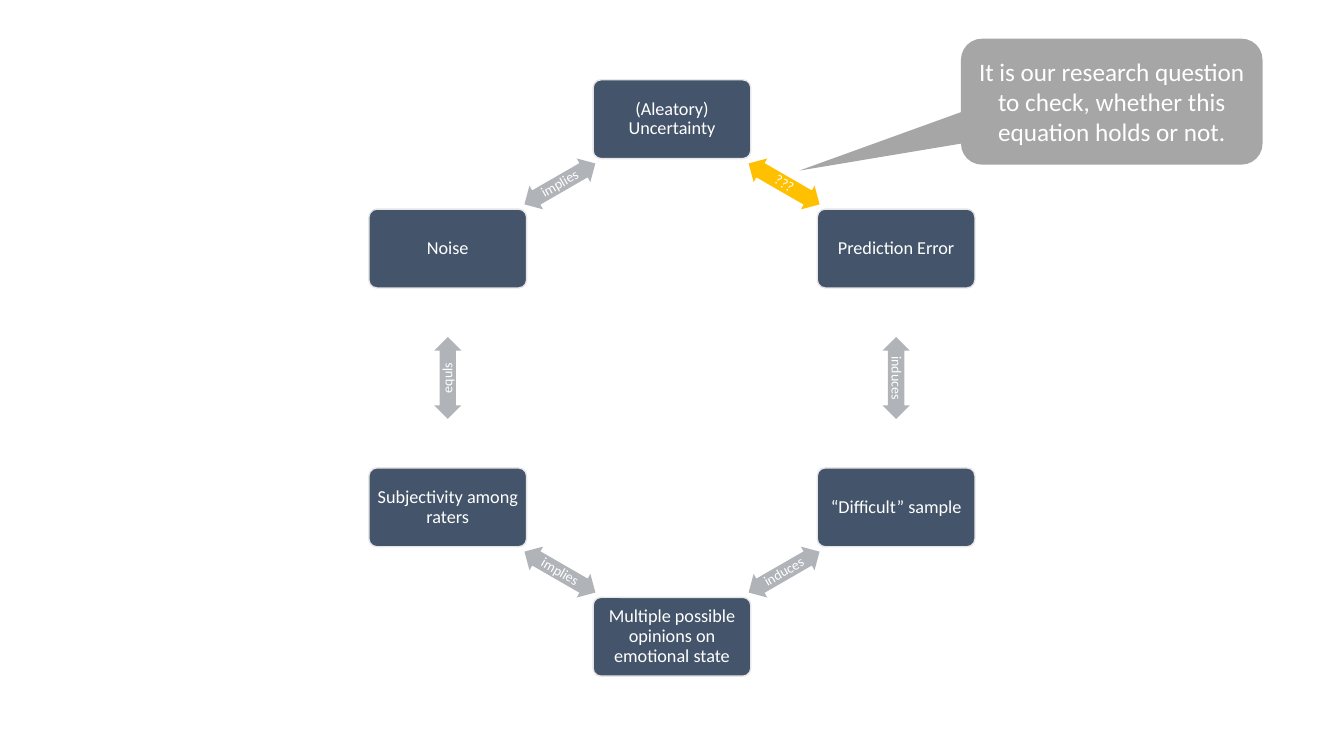
from math import cos, radians, sin

from pptx import Presentation
from pptx.dml.color import RGBColor
from pptx.enum.shapes import MSO_SHAPE as Shape
from pptx.enum.text import MSO_ANCHOR as Anchor, PP_ALIGN as Align
from pptx.util import Inches, Pt

WIDTH, HEIGHT = 13.33, 7.5
COLS, ROWS = 80, 45
NAVY, GREY, AMBER = "44546A", "B0B4B9", "FFC000"
PALE, CALLOUT_GREY, WHITE = "E7E6E6", "A6A6A6", "FFFFFF"

# Each concept, clockwise from the top, with the link to the next one
CYCLE = [
    ("(Aleatory) Uncertainty", "???", AMBER),
    ("Prediction Error", "induces", GREY),
    ("“Difficult” sample", "induces", GREY),
    ("Multiple possible opinions on emotional state", "implies", GREY),
    ("Subjectivity among raters", "equls", GREY),
    ("Noise", "implies", GREY),
]


def color(value):
    """Turn a hex string into a colour."""
    return RGBColor.from_string(value)


def cells(left, top, width, height):
    """Convert a box in grid columns and rows to inches."""
    col, row = WIDTH / COLS, HEIGHT / ROWS
    return left * col, top * row, width * col, height * row


def add_text(sp, text, size=13, spacing=None, inset=None):
    """Write centred white text into a shape."""
    tf = sp.text_frame
    tf.word_wrap = True
    tf.vertical_anchor = Anchor.MIDDLE
    if inset is not None:
        tf.margin_left = tf.margin_right = Inches(inset)
        tf.margin_top = tf.margin_bottom = Inches(inset)
    p = tf.paragraphs[0]
    p.alignment = Align.CENTER
    p.line_spacing = spacing
    r = p.add_run()
    r.text = text
    r.font.name, r.font.size = "Calibri", Pt(size)
    r.font.color.rgb = color(WHITE)


def add_block(s, kind, box, fill, adjust, line=None):
    """Add a flat filled preset shape in a box given in inches."""
    sp = s.shapes.add_shape(kind, *map(Inches, box))
    sp.shadow.inherit = False
    sp.fill.solid()
    sp.fill.fore_color.rgb = color(fill)
    if line:
        sp.line.color.rgb = color(line)
        sp.line.width = Pt(1)
    else:
        sp.line.fill.background()
    for i, value in enumerate(adjust):
        sp.adjustments[i] = value
    return sp


def add_cycle(s, box):
    """Place the concepts on a ring, with a double arrow between neighbours."""
    left, top, width, height = box
    node_w, node_h = 0.26 * width, 0.13 * width
    arrow_w, arrow_h = 0.135 * width, 0.045 * width
    radius = (height - node_h) / 2
    step = 360 / len(CYCLE)
    mid_radius = radius * cos(radians(step / 2))

    def around(angle, distance, w, h):
        """Box of size w by h centred at a clockwise angle from the top."""
        x = left + width / 2 + distance * sin(radians(angle))
        y = top + height / 2 - distance * cos(radians(angle))
        return x - w / 2, y - h / 2, w, h

    for i, (concept, link, fill) in enumerate(CYCLE):
        node = add_block(s, Shape.ROUNDED_RECTANGLE,
                         around(i * step, radius, node_w, node_h),
                         NAVY, [0.1], line=PALE)
        add_text(node, concept, spacing=0.9, inset=0.05)

        angle = (i + 0.5) * step
        arrow = add_block(s, Shape.LEFT_RIGHT_ARROW,
                          around(angle, mid_radius, arrow_w, arrow_h),
                          fill, [0.6, 0.5])
        # Turn the lower arrows by half so that their words stay upright
        arrow.rotation = (angle + 180) % 360 if 90 < angle < 270 else angle
        add_text(arrow, link, size=10, spacing=0.9, inset=0)


def add_callout(s, box):
    """Add the remark that points at the open link."""
    sp = add_block(s, Shape.ROUNDED_RECTANGULAR_CALLOUT, box,
                   CALLOUT_GREY, [-1.036, 0.547, 0.167])
    add_text(sp, "It is our research question to check, whether this "
                 "equation holds or not.", size=18)


def main():
    """Build and save the slide."""
    prs = Presentation()
    prs.slide_width, prs.slide_height = Inches(WIDTH), Inches(HEIGHT)
    s = prs.slides.add_slide(prs.slide_layouts[6])
    add_cycle(s, cells(21.95, 4.75, 36.1, 35.5))
    add_callout(s, cells(57.2, 2.3, 17.95, 7.5))
    prs.save("out.pptx")


main()
